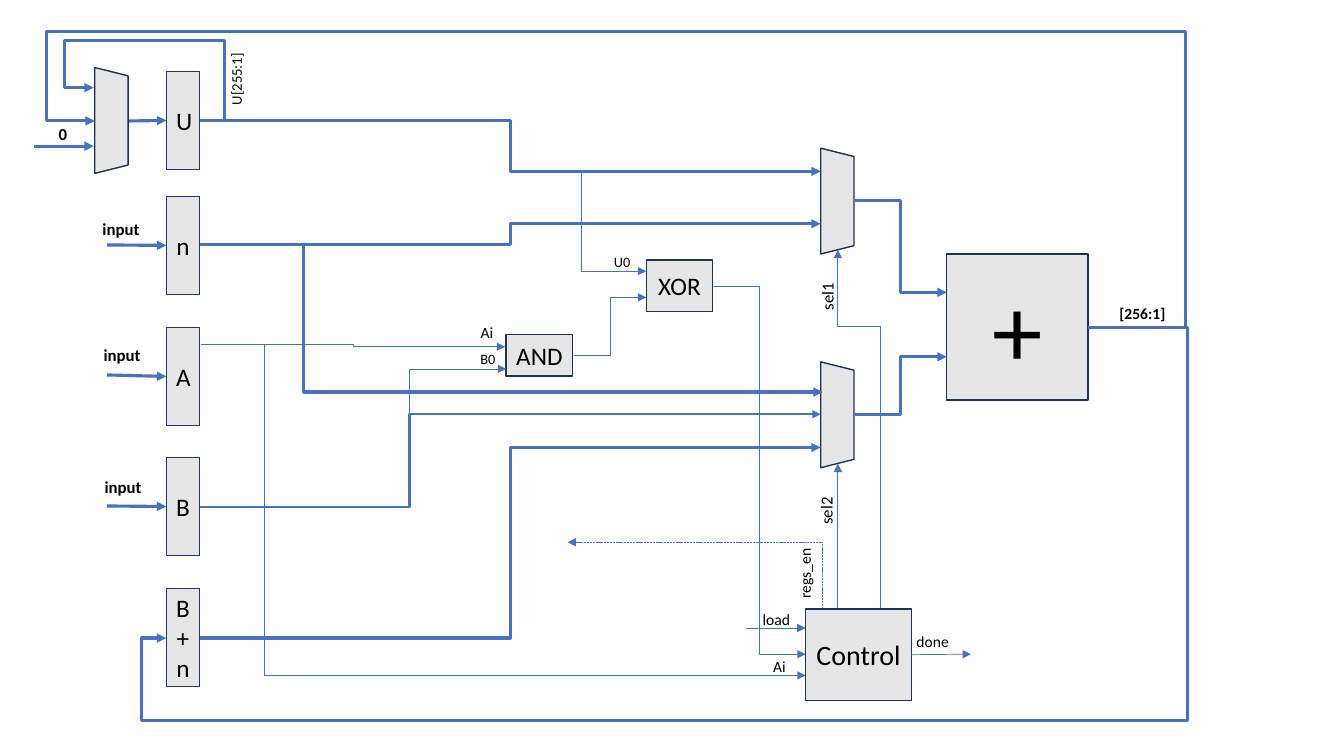
from lxml import etree
from pptx import Presentation
from pptx.dml.color import RGBColor
from pptx.enum.dml import MSO_LINE
from pptx.enum.shapes import MSO_CONNECTOR, MSO_SHAPE
from pptx.enum.text import MSO_ANCHOR, PP_ALIGN
from pptx.oxml.ns import qn
from pptx.util import Inches, Pt

RECTANGLE = MSO_SHAPE.RECTANGLE
TRAPEZOID = MSO_SHAPE.TRAPEZOID
STRAIGHT = MSO_CONNECTOR.STRAIGHT
ELBOW = MSO_CONNECTOR.ELBOW
SHORT_DASH = MSO_LINE.SQUARE_DOT
CENTER = PP_ALIGN.CENTER
TOP = MSO_ANCHOR.TOP
MIDDLE = MSO_ANCHOR.MIDDLE
LEFT_SIDE, RIGHT_SIDE = 1, 3
THICK, MEDIUM, THIN = 2.25, 1.5, 0.5


def color(value):
    return RGBColor.from_string(value)


def write(frame, text, size=18, bold=False, spacing=None, before=None,
          anchor=MIDDLE, wrap=True):
    frame.word_wrap = wrap
    frame.vertical_anchor = anchor
    para = frame.paragraphs[0]
    para.alignment = CENTER
    para.line_spacing = spacing
    para.space_before = None if before is None else Pt(before)
    span = para.add_run()
    span.text = text
    span.font.name = "Calibri"
    span.font.size = Pt(size)
    span.font.bold = bold
    span.font.color.rgb = color("000000")


class Diagram:
    fill = "E7E6E6"
    outline = "1E3256"
    wire_color = "4472C4"

    def __init__(self, page):
        self.shapes = page.shapes

    def shape(self, kind, left, top, width, height, outline=None):
        box = self.shapes.add_shape(kind, Inches(left), Inches(top),
                                    Inches(width), Inches(height))
        box.shadow.inherit = False
        box.fill.solid()
        box.fill.fore_color.rgb = color(self.fill)
        box.line.color.rgb = color(outline or self.outline)
        box.line.width = Pt(1)
        return box

    def block(self, text, left, top, width, height, size=18, outline=None):
        box = self.shape(RECTANGLE, left, top, width, height, outline)
        write(box.text_frame, text, size=size)
        return box

    def mux(self, left, top):
        box = self.shape(TRAPEZOID, left, top, 1.05, 0.33)
        box.rotation = 90

    def label(self, text, left, top, width, height=0.33, size=12, bold=False,
              spacing=0.9, rotation=0, wrap=False):
        box = self.shapes.add_textbox(Inches(left), Inches(top),
                                      Inches(width), Inches(height))
        box.rotation = rotation
        write(box.text_frame, text, size=size, bold=bold, spacing=spacing,
              before=10, anchor=TOP, wrap=wrap)

    def small_label(self, text, left, top, width=0.36, size=11.1, wrap=False):
        self.label(text, left, top, width, 0.25, size=size, spacing=0.8, wrap=wrap)

    def wire(self, *points, weight=THIN, dash=None):
        start, end = points[0], points[-1]
        straight = len(points) == 2
        upright = not straight and start[0] == points[1][0]
        if upright:
            middle_x, middle_y = (start[0] + end[0]) / 2, (start[1] + end[1]) / 2
            along, across = (start[1] - end[1]) / 2, (end[0] - start[0]) / 2
            ends = (middle_x - along, middle_y - across,
                    middle_x + along, middle_y + across)
        else:
            ends = (*start, *end)
        connector = self.shapes.add_connector(STRAIGHT if straight else ELBOW,
                                              *[Inches(value) for value in ends])
        connector.line.color.rgb = color(self.wire_color)
        connector.line.width = Pt(weight)
        if dash:
            connector.line.dash_style = dash
        properties = connector.element.spPr
        if upright:
            properties.find(qn("a:xfrm")).set("rot", "16200000")
        if not straight:
            self.bend(properties, points, int(upright))
        arrowhead = etree.SubElement(properties.find(qn("a:ln")), qn("a:tailEnd"))
        arrowhead.set("type", "triangle")
        etree.SubElement(properties, qn("a:effectLst"))
        return connector

    def bend(self, properties, points, first_axis):
        geometry = properties.find(qn("a:prstGeom"))
        geometry.set("prst", f"bentConnector{len(points) - 1}")
        guides = geometry.find(qn("a:avLst"))
        start, end = points[0], points[-1]
        for index, point in enumerate(points[1:-2]):
            axis = (first_axis + index) % 2
            ratio = (point[axis] - start[axis]) / (end[axis] - start[axis])
            guide = etree.SubElement(guides, qn("a:gd"))
            guide.set("name", f"adj{index + 1}")
            guide.set("fmla", f"val {round(ratio * 100000)}")


def main():
    deck = Presentation()
    deck.slide_width, deck.slide_height = Inches(13.33), Inches(7.5)
    page = deck.slides.add_slide(deck.slide_layouts[6])
    diagram = Diagram(page)

    registers = {}
    for name, top in (("U", 0.71), ("n", 1.95), ("A", 3.25), ("B", 4.54), ("B+n", 5.84)):
        registers[name] = diagram.block(name, 1.65, top, 0.33, 0.97, outline="203864")
    diagram.block("AND", 5.02, 3.32, 0.66, 0.41)
    diagram.block("XOR", 6.41, 2.58, 0.66, 0.51)
    diagram.block("+", 9.39, 2.52, 1.4, 1.45, size=72)
    for left, top in ((0.58, 1.03), (7.78, 1.83), (7.78, 3.95)):
        diagram.mux(left, top)

    for points in (
        [(1.98, 1.2), (5.06, 1.2), (5.06, 1.7), (8.14, 1.7)],
        [(1.98, 2.43), (5.06, 2.43), (5.06, 2.22), (8.14, 2.22)],
        [(1.98, 6.33), (5.06, 6.33), (5.06, 4.44), (8.14, 4.44)],
        [(1.98, 2.43), (3.01, 2.43), (3.01, 3.89), (8.16, 3.89)],
        [(8.48, 4.11), (8.93, 4.11), (8.93, 3.54), (9.39, 3.54)],
        [(8.48, 1.99), (8.93, 1.99), (8.93, 2.9), (9.39, 2.9)],
        [(10.79, 3.25), (11.76, 3.25), (11.76, 0.31), (0.46, 0.31), (0.46, 1.2), (0.94, 1.2)],
        [(10.79, 3.25), (11.78, 3.25), (11.78, 7.15), (1.4, 7.15), (1.4, 6.33), (1.65, 6.33)],
        [(1.98, 1.2), (2.23, 1.2), (2.23, 0.4), (0.64, 0.4), (0.64, 0.87), (0.93, 0.87)],
        [(0.34, 1.45), (0.93, 1.45)],
    ):
        diagram.wire(*points, weight=THICK)
    diagram.wire((1.98, 5.03), (4.06, 5.03), (4.06, 4.11), (8.14, 4.11), weight=MEDIUM)

    for points in (
        [(1.99, 3.42), (3.5, 3.42), (3.5, 3.44), (5.01, 3.44)],
        [(5.69, 3.53), (6.05, 3.53), (6.05, 2.95), (6.41, 2.95)],
        [(4.05, 4.11), (4.06, 4.11), (4.06, 3.66), (5.02, 3.66)],
        [(5.77, 1.71), (5.77, 2.69), (6.41, 2.69)],
        [(7.07, 2.84), (7.53, 2.84), (7.53, 6.49), (7.99, 6.49)],
        [(2.57, 3.42), (2.62, 3.42), (2.62, 6.7), (7.99, 6.7)],
        [(8.73, 6.04), (8.73, 3.24), (8.31, 3.24), (8.31, 2.48)],
        [(8.31, 6.04), (8.31, 4.6)],
        [(7.4, 6.23), (7.99, 6.23)],
    ):
        diagram.wire(*points)
    diagram.wire((8.16, 6.04), (8.16, 5.38), (5.63, 5.38), dash=SHORT_DASH)

    control = diagram.block("Control", 7.99, 6.04, 1.05, 0.91, size=20)
    done = diagram.wire((9.04, 6.49), (9.63, 6.49))
    done.begin_connect(control, RIGHT_SIDE)

    for name, start, y in (("U", 1.28, 1.2), ("n", 1.06, 2.43),
                           ("A", 1.06, 3.72), ("B", 1.06, 5.02)):
        feed = diagram.wire((start, y), (1.65, y), weight=THICK)
        feed.end_connect(registers[name], LEFT_SIDE)

    for left, top in ((0.86, 2.14), (0.87, 3.39), (0.88, 4.7)):
        diagram.label("input", left, top, 0.68, bold=True)
    diagram.label("0", 0.38, 1.2, 0.49, bold=True)
    diagram.label("[256:1]", 10.99, 2.99, 0.68, size=11.1, bold=True)
    for text, left, top, width, height, size in (
        ("sel1", 7.91, 2.76, 0.69, 0.36, 12),
        ("sel2", 7.9, 4.89, 0.69, 0.36, 12),
        ("regs_en", 7.68, 5.51, 0.72, 0.36, 11.1),
        ("U[255:1]", 1.77, 0.62, 1.24, 0.33, 10.5),
    ):
        diagram.label(text, left, top, width, height, size=size, rotation=270)

    diagram.small_label("Ai", 4.65, 3.19)
    diagram.small_label("Ai", 7.55, 6.5)
    diagram.small_label("B0", 4.66, 3.46, size=10.2)
    diagram.small_label("U0", 5.99, 2.5, size=10.2, wrap=True)
    diagram.small_label("load", 7.42, 6.04, width=0.56)
    diagram.small_label("done", 8.97, 6.26, width=0.56)

    deck.save("out.pptx")


if __name__ == "__main__":
    main()
